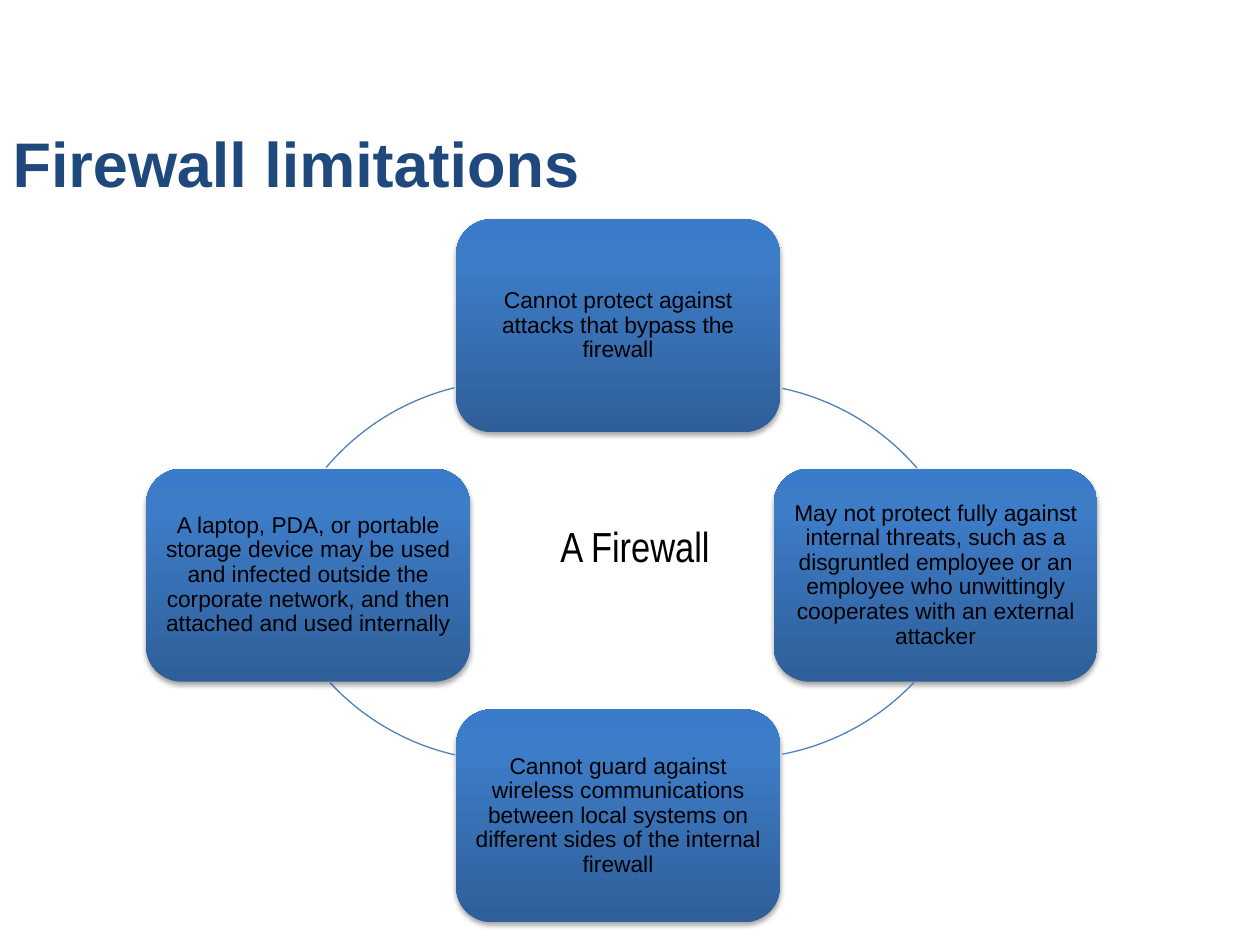
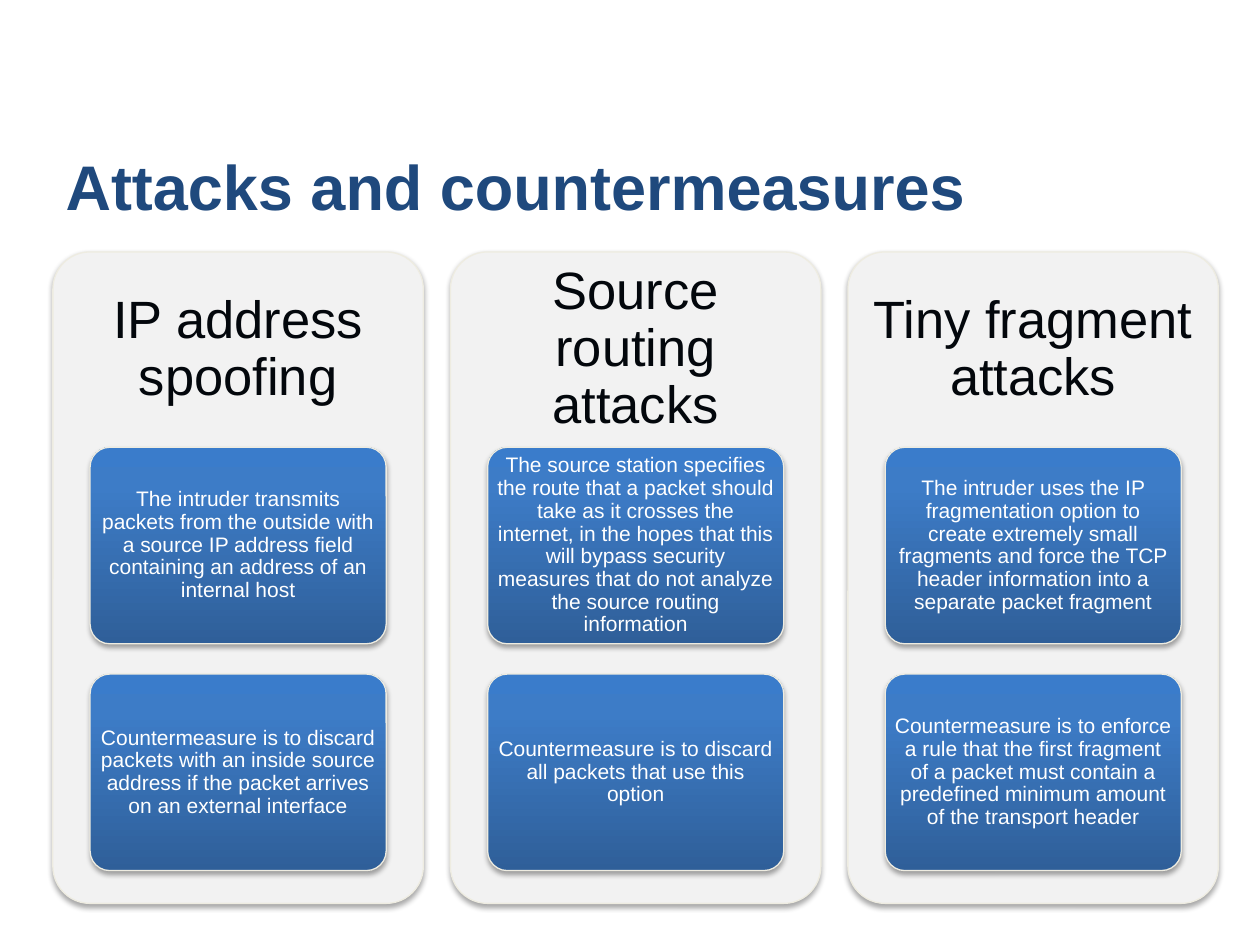
"""Builds two slides on firewall limits, attacks and countermeasures."""
from dataclasses import dataclass

from lxml import etree
from pptx import Presentation
from pptx import util as u
from pptx.dml.color import RGBColor
from pptx.enum import shapes, text
from pptx.oxml import ns


@dataclass(frozen=True)
class Theme:
    """Colours, fonts and type sizes of the deck."""
    title: str = "1F497D"
    ink: str = "000000"
    heading: str = "03070C"
    white: str = "FFFFFF"
    panel: str = "F2F2F2"
    edge: str = "EEECE1"
    arc: str = "4F81BD"
    gradient: tuple = ((0, "2F5F99"), (80, "3D7CC7"), (100, "3A7CCB"))
    font: str = "Arial"
    narrow: str = "Arial Narrow"
    title_size: int = 36
    heading_size: int = 30
    centre_size: int = 24
    ring_size: int = 13
    card_size: int = 12
    line: float = 0.75


def add_node(parent, tag, **attributes):
    """Append a drawing element to a parent."""
    node = etree.SubElement(parent, ns.qn(tag))
    for name, value in attributes.items():
        node.set(name, str(value))
    return node


class Painter:
    """Draws styled elements on a grid of 100 columns by 75 rows."""

    def __init__(self, deck, theme):
        """Keep the deck, its theme and the grid cell."""
        self.deck, self.theme, self.page = deck, theme, None
        self.cell = deck.slide_width / 100

    def place(self, *cells):
        """Turn grid cells into lengths."""
        return [u.Emu(round(value * self.cell)) for value in cells]

    def set_words(self, shape, words, size, color, font=None, inset=None, centred=True):
        """Fill a shape with one styled paragraph."""
        frame = shape.text_frame
        frame.word_wrap = True
        frame.text = words
        if inset is not None:
            frame.margin_left = frame.margin_right = u.Inches(inset)
            frame.margin_top = frame.margin_bottom = u.Inches(inset)
        para = frame.paragraphs[0]
        para.alignment = text.PP_ALIGN.LEFT
        if centred:
            frame.vertical_anchor = text.MSO_ANCHOR.MIDDLE
            para.alignment = text.PP_ALIGN.CENTER
            para.line_spacing = 0.9
        para.font.name = font or self.theme.font
        para.font.size = u.Pt(size)
        para.font.color.rgb = RGBColor.from_string(color)
        return frame

    def start(self, words, left, top, width, height):
        """Open a new page with its title."""
        self.page = self.deck.slides.add_slide(self.deck.slide_layouts[5])
        title = self.page.shapes.title
        title.left, title.top, title.width, title.height = self.place(left, top, width, height)
        frame = self.set_words(title, words, self.theme.title_size, self.theme.title,
                               centred=False)
        frame.auto_size = text.MSO_AUTO_SIZE.NONE
        frame.vertical_anchor = text.MSO_ANCHOR.BOTTOM
        frame.paragraphs[0].font.bold = True

    def outline(self, shape, color):
        """Set the line of a shape, or remove it."""
        if color is None:
            shape.line.fill.background()
            return
        shape.line.color.rgb = RGBColor.from_string(color)
        shape.line.width = u.Pt(self.theme.line)

    def panel(self, *cells, edge=None, corner=None, fill=None):
        """Draw a shadowed rounded box, with a gradient unless filled."""
        box = self.page.shapes.add_shape(
            shapes.MSO_SHAPE.ROUNDED_RECTANGLE, *self.place(*cells))
        if corner is not None:
            box.adjustments[0] = corner
        if fill:
            box.fill.solid()
            box.fill.fore_color.rgb = RGBColor.from_string(fill)
        else:
            self.shade(box)
        self.outline(box, edge)
        self.drop_shadow(box)
        return box

    def shade(self, box):
        """Apply the theme gradient from bottom to top."""
        box.fill.gradient()
        box.fill.gradient_angle = 90
        stops = box.element.spPr.find(".//" + ns.qn("a:gsLst"))
        for stop in list(stops):
            stops.remove(stop)
        for share, color in self.theme.gradient:
            stop = add_node(stops, "a:gs", pos=share * 1000)
            add_node(stop, "a:srgbClr", val=color)

    def drop_shadow(self, box):
        """Give a box a soft shadow below."""
        box.shadow.inherit = False
        effects = box.element.spPr.find(ns.qn("a:effectLst"))
        shadow = add_node(effects, "a:outerShdw", blurRad=u.Pt(3.1), dist=u.Pt(1.8),
                          dir=90 * 60000, rotWithShape=0)
        color = add_node(shadow, "a:srgbClr", val=self.theme.ink)
        add_node(color, "a:alpha", val=35000)

    def arc(self, left, top, diameter, start, end):
        """Draw a circle arc between two angles in degrees."""
        curve = self.page.shapes.add_shape(
            shapes.MSO_SHAPE.ARC, *self.place(left, top, diameter, diameter))
        for index, angle in enumerate((start, end)):
            curve.adjustments[index] = angle * 0.6
        curve.fill.background()
        curve.shadow.inherit = False
        self.outline(curve, self.theme.arc)

    def label(self, words, *cells, **style):
        """Add a text box."""
        box = self.page.shapes.add_textbox(*self.place(*cells))
        return self.set_words(box, words, **style)


LIMITATIONS = (
    ("Cannot protect against attacks that bypass the firewall",
     (36.2, 17.4), (38.6, 30.4, 38.9, 282, 319.2)),
    ("May not protect fully against internal threats, such as a disgruntled employee "
     "or an employee who unwittingly cooperates with an external attacker",
     (61.4, 37.2), (39, 21.3, 38.9, 43.5, 79.2)),
    ("Cannot guard against wireless communications between local systems on different "
     "sides of the internal firewall",
     (36.2, 56.3), (21, 21.5, 38.9, 102.9, 137.1)),
    ("A laptop, PDA, or portable storage device may be used and infected outside the "
     "corporate network, and then attached and used internally",
     (11.6, 37.2), (21.3, 30.2, 38.9, 220.2, 256.1)),
)

ATTACKS = (
    ("IP address spoofing",
     "The intruder transmits packets from the outside with a source IP address field "
     "containing an address of an internal host",
     "Countermeasure is to discard packets with an inside source address if the packet "
     "arrives on an external interface"),
    ("Source routing attacks",
     "The source station specifies the route that a packet should take as it crosses the "
     "internet, in the hopes that this will bypass security measures that do not analyze "
     "the source routing information",
     "Countermeasure is to discard all packets that use this option"),
    ("Tiny fragment attacks",
     "The intruder uses the IP fragmentation option to create extremely small fragments "
     "and force the TCP header information into a separate packet fragment",
     "Countermeasure is to enforce a rule that the first fragment of a packet must contain "
     "a predefined minimum amount of the transport header"),
)


def draw_limitations(painter):
    """Draw the ring of firewall limitations."""
    theme = painter.theme
    painter.start("Firewall limitations", 0, 8.7, 100, 7.7)
    for words, corner, arc in LIMITATIONS:
        box = painter.panel(*corner, 25.7, 16.9)
        painter.set_words(box, words, theme.ring_size, theme.ink, inset=0.05)
        painter.arc(*arc)
    frame = painter.label("A Firewall", 43.5, 40.8, 20, 5, size=theme.centre_size,
                          color=theme.ink, font=theme.narrow, centred=False)
    frame.auto_size = text.MSO_AUTO_SIZE.SHAPE_TO_FIT_TEXT


def draw_attacks(painter):
    """Draw one column for each attack, with its countermeasure."""
    theme = painter.theme
    painter.start("Attacks and countermeasures", 4.2, 11, 95.8, 7.2)
    for column, (heading, *cards) in enumerate(ATTACKS):
        left = 4.2 + 31.55 * column
        painter.panel(left, 20, 29.4, 51.7, edge=theme.edge, corner=0.1, fill=theme.panel)
        painter.label(heading, left, 20, 29.4, 15.5, size=theme.heading_size,
                      color=theme.heading, inset=0.12)
        for row, words in enumerate(cards):
            card = painter.panel(left + 2.95, 35.5 + 18 * row, 23.5, 15.6,
                                 edge=theme.edge, corner=0.1)
            painter.set_words(card, words, theme.card_size, theme.white, inset=0.03)


def main():
    """Build and save the deck."""
    deck = Presentation()
    deck.slide_width, deck.slide_height = u.Inches(10), u.Inches(7.5)
    painter = Painter(deck, Theme())
    draw_limitations(painter)
    draw_attacks(painter)
    deck.save("out.pptx")


if __name__ == "__main__":
    main()
